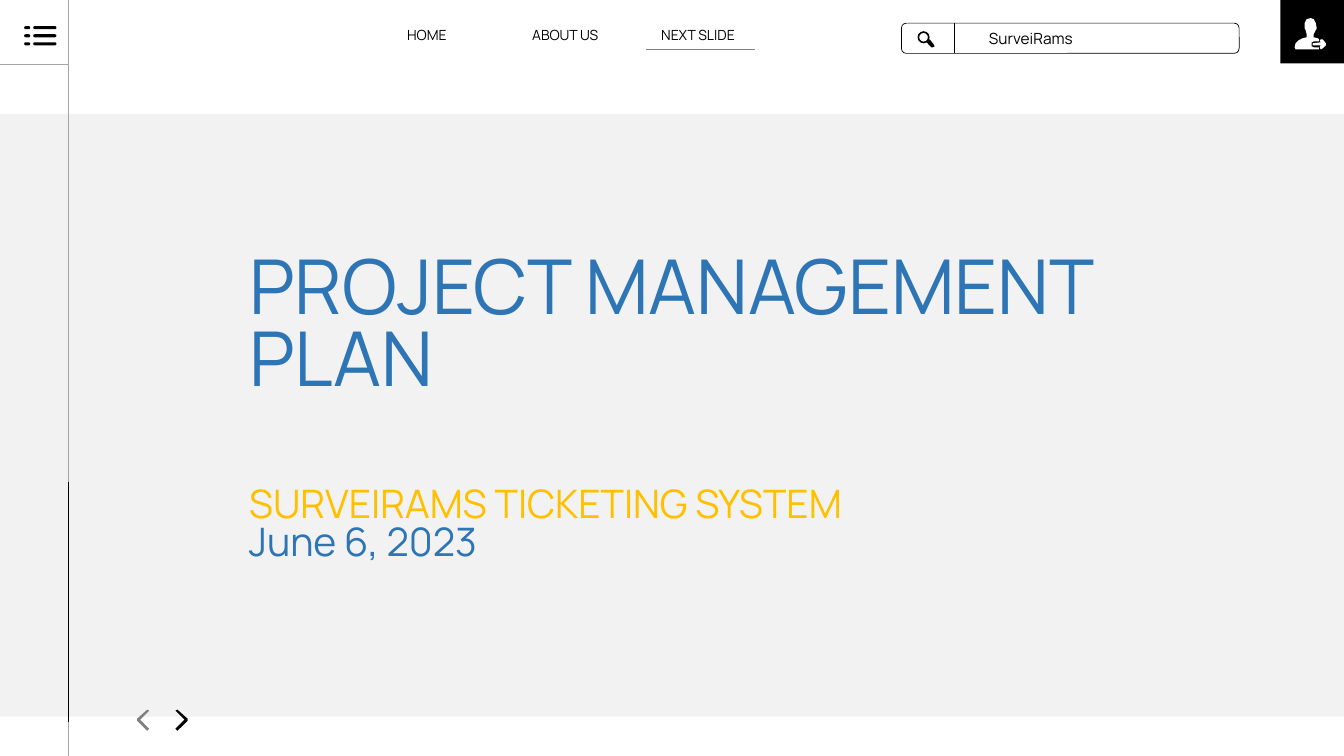
from dataclasses import dataclass

from lxml.etree import SubElement
from pptx import Presentation
from pptx.dml.color import RGBColor
from pptx.enum.shapes import MSO_CONNECTOR, MSO_SHAPE
from pptx.enum.text import MSO_ANCHOR, PP_ALIGN
from pptx.oxml.ns import qn
from pptx.util import Inches, Pt


@dataclass(frozen=True)
class Theme:
    font: str = "Manrope"
    black: str = "000000"
    white: str = "FFFFFF"
    panel: str = "F2F2F2"
    rule: str = "A6A6A6"
    muted: str = "808080"
    blue: str = "2E75B6"
    gold: str = "FFC000"
    title_size: int = 54
    subtitle_size: int = 28
    search_size: int = 11
    menu_size: int = 10
    thin: float = 0.5
    headline_spacing: float = 0.8
    label_spacing: float = 0.9


THEME = Theme()

TITLE = "PROJECT MANAGEMENT PLAN"
SUBTITLES = [("SURVEIRAMS TICKETING SYSTEM", THEME.gold), ("June 6, 2023", THEME.blue)]
MENU = [("HOME", 3.94, 0.7), ("ABOUT US", 5.18, 1.08), ("NEXT SLIDE", 6.46, 1.08)]
SEARCH_TEXT = "SurveiRams"

RULES = [  # start, end, colour
    ((9.47, 0.23), (9.47, 0.53), THEME.black),
    ((0.68, 0), (0.68, 7.5), THEME.rule),
    ((0, 0.64), (0.68, 0.64), THEME.rule),
    ((6.41, 0.49), (7.49, 0.49), THEME.muted),
    ((0.68, 4.78), (0.68, 7.16), THEME.black),
]

LENS_HANDLE = [(9.19, 0.42), (9.22, 0.39), (9.26, 0.44), (9.27, 0.46), (9.25, 0.47), (9.24, 0.47)]
PERSON = [
    (12.85, 0.49), (12.84, 0.47), (12.85, 0.43), (12.88, 0.4), (12.92, 0.38), (12.96, 0.37),
    (12.96, 0.34), (12.95, 0.3), (12.94, 0.28), (12.94, 0.23), (12.96, 0.19), (13, 0.18),
    (13.03, 0.19), (13.05, 0.23), (13.06, 0.28), (13.05, 0.3), (13.03, 0.34), (13.03, 0.37),
    (13.07, 0.38), (13.08, 0.39), (13.08, 0.41), (13.03, 0.41), (13.01, 0.42), (13.01, 0.46),
    (13.03, 0.47), (13.08, 0.47), (13.08, 0.49),
]
EXIT_ARROW = [
    (13.02, 0.43), (13.1, 0.42), (13.09, 0.4), (13.1, 0.39), (13.12, 0.39), (13.15, 0.43),
    (13.15, 0.45), (13.12, 0.48), (13.1, 0.49), (13.09, 0.47), (13.1, 0.45), (13.02, 0.45),
]
BACK_ARROW = [
    (1.47, 7.22), (1.39, 7.14), (1.47, 7.06), (1.48, 7.05), (1.46, 7.04),
    (1.36, 7.13), (1.36, 7.15), (1.46, 7.25), (1.48, 7.23),
]
ARROW_MIRROR = 3.22  # sum of matching x values in the two arrows


def color(value):
    return RGBColor.from_string(value)


def paint(shape, fill=None, line=None):
    shape.shadow.inherit = False
    if fill:
        shape.fill.solid()
        shape.fill.fore_color.rgb = color(fill)
    else:
        shape.fill.background()
    if line:
        shape.line.color.rgb = color(line)
        shape.line.width = Pt(THEME.thin)
    else:
        shape.line.fill.background()


def add_preset(slide, kind, box, fill=None, line=None):
    shape = slide.shapes.add_shape(kind, *map(Inches, box))
    paint(shape, fill, line)
    return shape


def add_outline(slide, points, fill):
    corners = [(Inches(x), Inches(y)) for x, y in points]
    builder = slide.shapes.build_freeform(*corners[0])
    builder.add_line_segments(corners[1:], close=True)
    paint(builder.convert_to_shape(), fill)


def add_rule(slide, start, end, line):
    connector = slide.shapes.add_connector(
        MSO_CONNECTOR.STRAIGHT, *map(Inches, (*start, *end)))
    connector.line.color.rgb = color(line)
    connector.line.width = Pt(THEME.thin)
    SubElement(connector._element.spPr, qn("a:effectLst"))


def write(shape, lines, size, spacing, vertical_inset=0.05):
    """Fill a shape's text frame with (text, colour) paragraphs."""
    frame = shape.text_frame
    frame.word_wrap = True
    frame.vertical_anchor = MSO_ANCHOR.TOP
    frame.margin_left = frame.margin_right = Inches(0.1)
    frame.margin_top = frame.margin_bottom = Inches(vertical_inset)
    for index, (text, text_color) in enumerate(lines):
        paragraph = frame.add_paragraph() if index else frame.paragraphs[0]
        paragraph.text = text
        paragraph.alignment = PP_ALIGN.LEFT
        paragraph.line_spacing = spacing
        paragraph.space_before = Pt(0)
        paragraph.font.name = THEME.font
        paragraph.font.size = Pt(size)
        paragraph.font.color.rgb = color(text_color)


def add_label(slide, box, text, size):
    label = slide.shapes.add_textbox(*map(Inches, box))
    write(label, [(text, THEME.black)], size, THEME.label_spacing)


def add_list_icon(slide):
    for row in range(3):
        for left, width in ((0.24, 0.06), (0.33, 0.23)):
            bar = add_preset(slide, MSO_SHAPE.ROUNDED_RECTANGLE,
                             (left, 0.26 + 0.08 * row, width, 0.03), THEME.black)
            bar.adjustments[0] = 0.5


def add_search_bar(slide):
    add_preset(slide, MSO_SHAPE.ROUNDED_RECTANGLE, (8.94, 0.23, 3.35, 0.3), line=THEME.black)
    add_label(slide, (9.71, 0.26, 2.08, 0.27), SEARCH_TEXT, THEME.search_size)
    lens = add_preset(slide, MSO_SHAPE.DONUT, (9.1, 0.31, 0.12, 0.12), THEME.black)
    lens.adjustments[0] = 0.14
    add_outline(slide, LENS_HANDLE, THEME.black)


def add_headline(slide):
    title = slide.shapes.title
    title.left, title.top, title.width, title.height = map(Inches, (2.37, 2.54, 9.14, 1.7))
    write(title, [(TITLE, THEME.blue)], THEME.title_size, THEME.headline_spacing, 0)
    subtitle = slide.shapes.add_textbox(*map(Inches, (2.37, 4.85, 9.14, 0.9)))
    write(subtitle, SUBTITLES, THEME.subtitle_size, THEME.headline_spacing, 0)


def main():
    presentation = Presentation()
    presentation.slide_width, presentation.slide_height = Inches(13.33), Inches(7.5)
    slide = presentation.slides.add_slide(presentation.slide_layouts[5])

    panel = add_preset(slide, MSO_SHAPE.RECTANGLE, (0, 1.13, 13.33, 5.98), THEME.panel)
    slide.shapes.title._element.addprevious(panel._element)
    add_headline(slide)
    add_search_bar(slide)
    add_preset(slide, MSO_SHAPE.RECTANGLE, (12.7, 0, 0.63, 0.63), THEME.black)
    for outline in (PERSON, EXIT_ARROW):
        add_outline(slide, outline, THEME.white)
    for text, left, width in MENU:
        add_label(slide, (left, 0.23, width, 0.3), text, THEME.menu_size)
    add_list_icon(slide)
    add_outline(slide, BACK_ARROW, THEME.muted)
    add_outline(slide, [(ARROW_MIRROR - x, y) for x, y in BACK_ARROW], THEME.black)
    for start, end, line in RULES:
        add_rule(slide, start, end, line)

    presentation.save("out.pptx")


if __name__ == "__main__":
    main()
